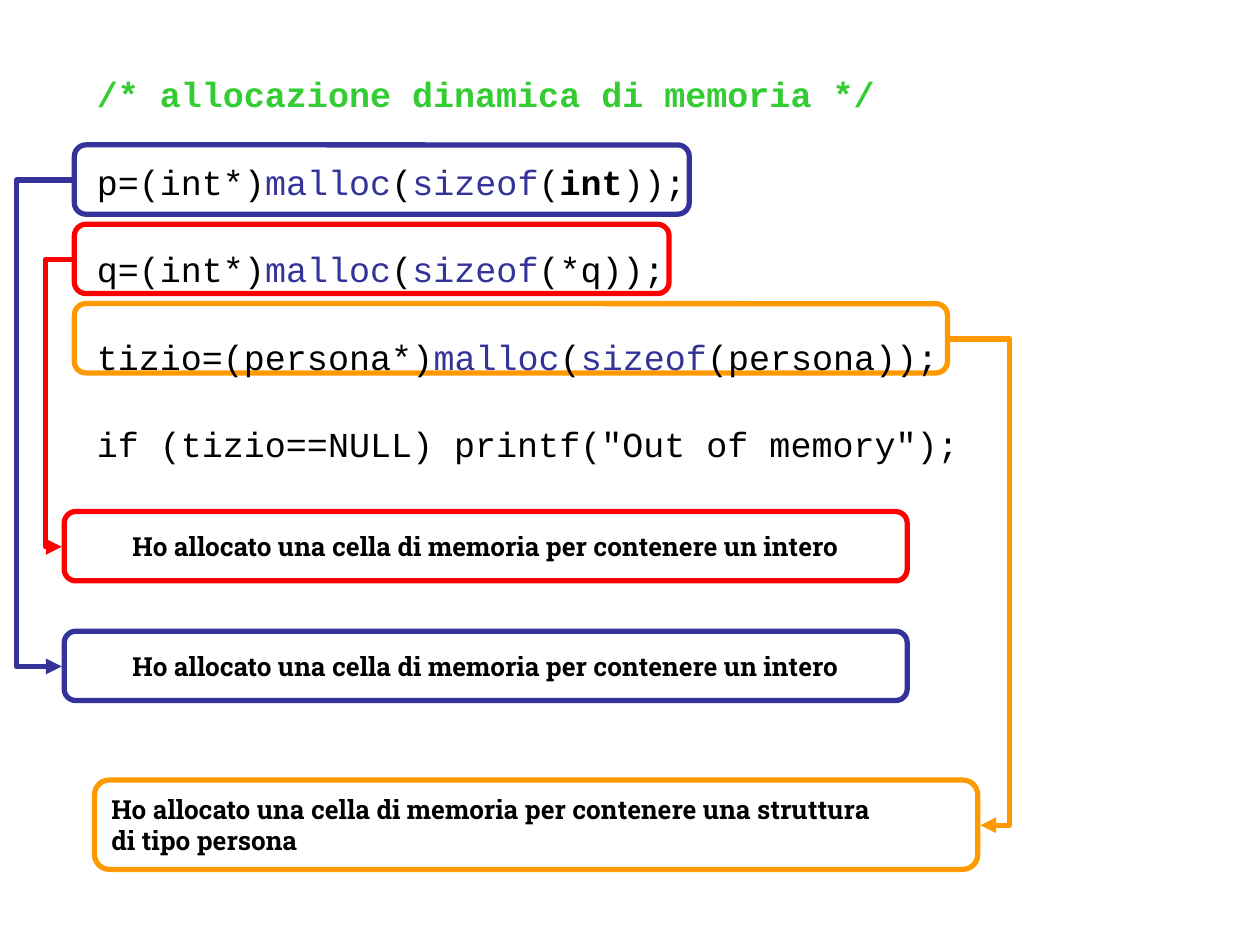
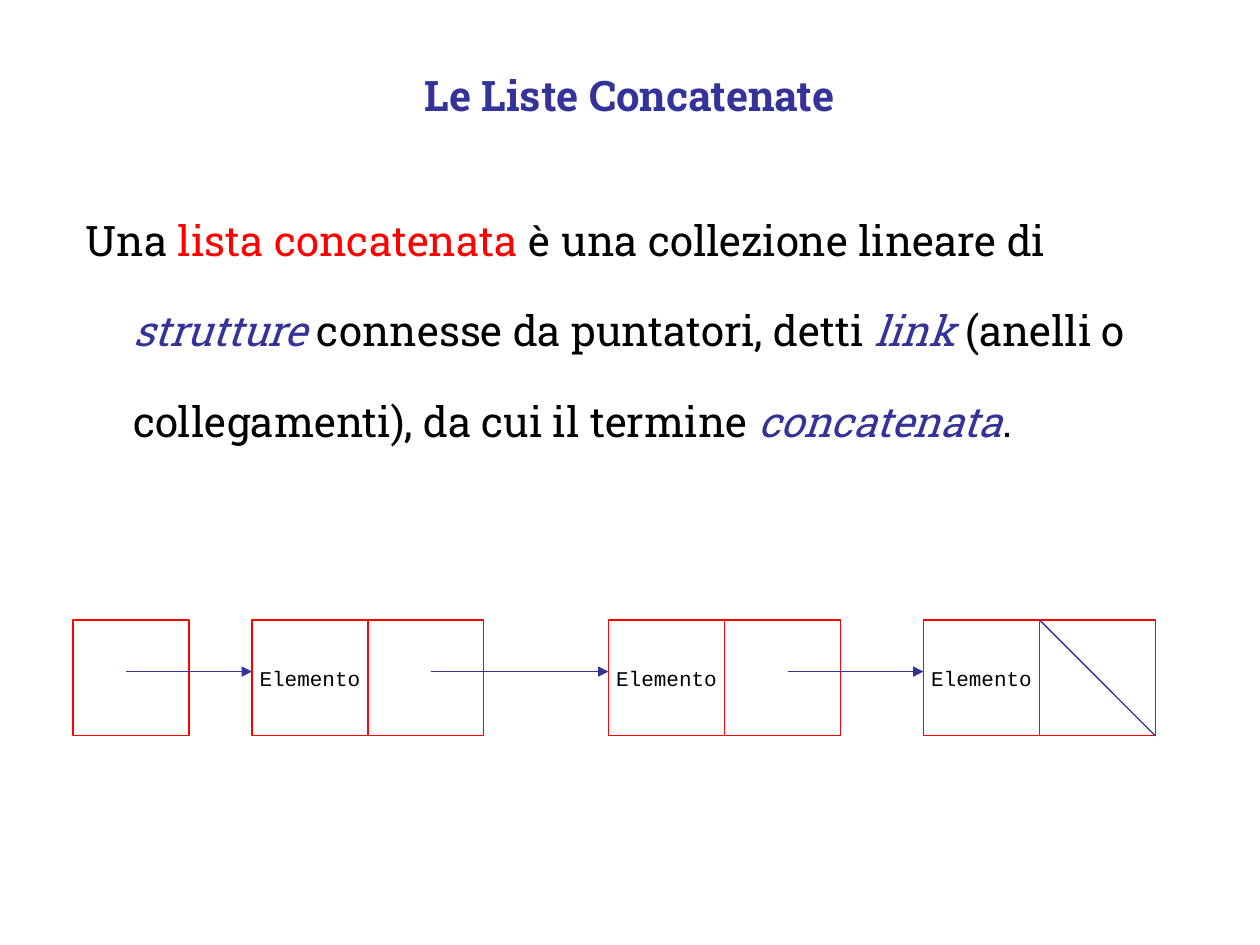
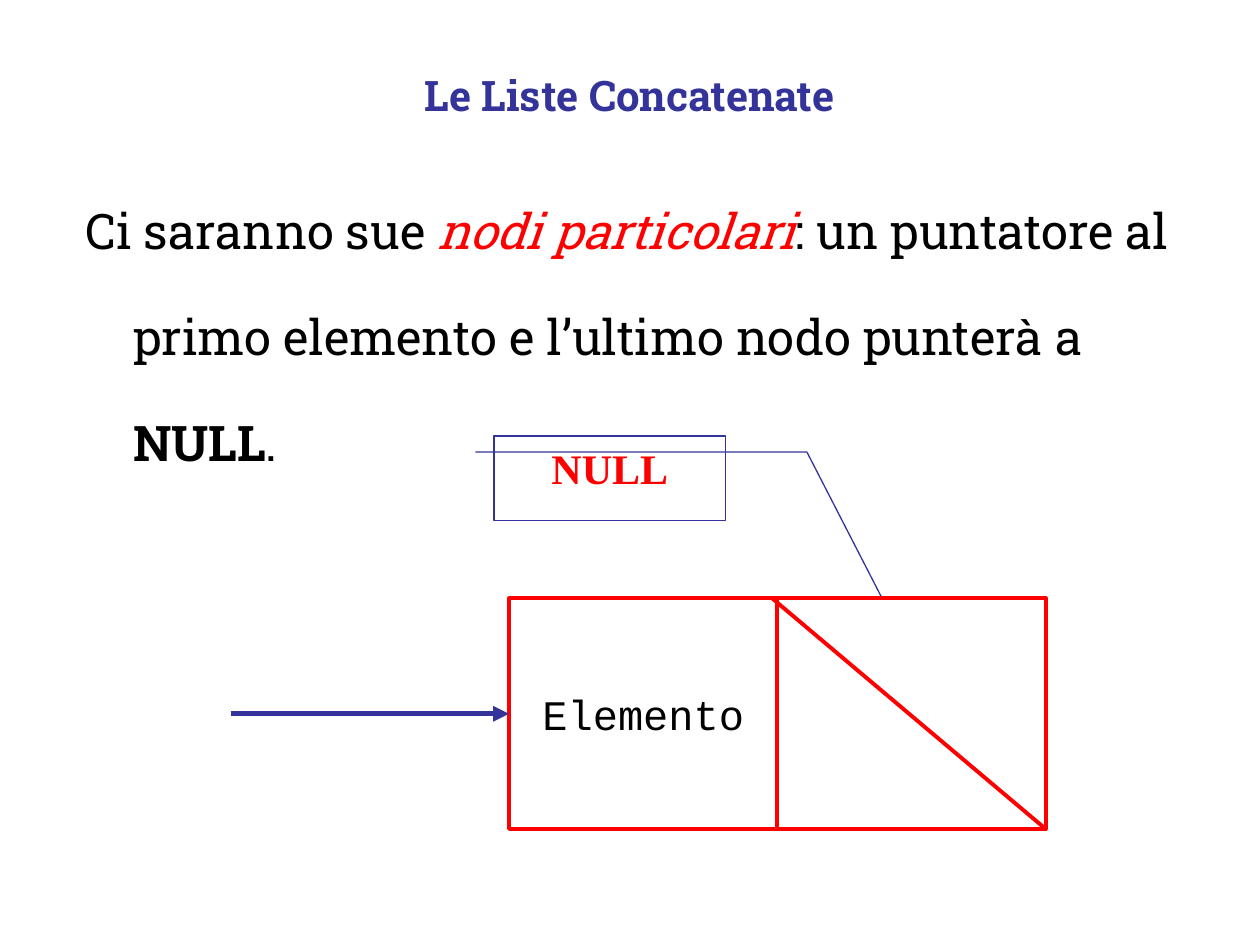
from dataclasses import dataclass
from typing import NamedTuple, Optional, Sequence

from lxml.etree import SubElement
from pptx import Presentation
from pptx.dml.color import RGBColor
from pptx.enum.shapes import MSO_CONNECTOR as Connector, MSO_SHAPE as Shape
from pptx.enum.text import MSO_ANCHOR as Anchor, MSO_AUTO_SIZE as AutoSize, PP_ALIGN as Align
from pptx.oxml.ns import qn
from pptx.util import Inches, Pt


@dataclass(frozen=True)
class Theme:
    black: str = "000000"
    white: str = "FFFFFF"
    blue: str = "333399"
    red: str = "FF0000"
    orange: str = "FF9900"
    green: str = "33CC33"
    body_font: str = "Roboto Slab"
    code_font: str = "Courier New"
    callout_font: str = "Times New Roman"
    title_size: float = 24
    large_size: float = 28
    code_size: float = 20
    note_size: float = 15
    cell_size: float = 12
    thin: float = 0.75
    medium: float = 2.25
    thick: float = 3


THEME = Theme()


class Box(NamedTuple):
    left: float
    top: float
    width: float
    height: float


class Point(NamedTuple):
    x: float
    y: float


class Span(NamedTuple):
    text: str
    color: str = THEME.black
    bold: bool = False
    italic: bool = False


class Style(NamedTuple):
    font: str
    size: float
    align: Align = Align.LEFT
    line_spacing: float = 1.0
    space_before: float = 0
    hanging: float = 0


class Allocation(NamedTuple):
    """A highlighted malloc call, its explanation and the elbow joining them."""
    color: str
    call: Box
    note: Box
    note_lines: Sequence[str]
    note_align: Align
    start: Point
    end: Point
    bend_x: float


TITLE_STYLE = Style(THEME.body_font, THEME.title_size, Align.CENTER)
CODE_STYLE = Style(THEME.code_font, THEME.code_size, line_spacing=1.5, space_before=14)
CALLOUT_STYLE = Style(THEME.callout_font, THEME.title_size, Align.CENTER)
INTEGER_NOTE = ["Ho allocato una cella di memoria per contenere un intero"]
ALLOCATIONS = [
    Allocation(THEME.orange, Box(0.59, 2.41, 6.93, 0.55), Box(0.75, 6.19, 7.01, 0.71),
               ["Ho allocato una cella di memoria per contenere una struttura",
                "di tipo persona"],
               Align.LEFT, Point(7.54, 2.69), Point(7.78, 6.55), 8.01),
    Allocation(THEME.red, Box(0.59, 1.78, 4.72, 0.55), Box(0.51, 4.06, 6.69, 0.55),
               INTEGER_NOTE, Align.CENTER, Point(0.57, 2.06), Point(0.49, 4.34), 0.36),
    Allocation(THEME.blue, Box(0.59, 1.15, 4.88, 0.55), Box(0.51, 5.01, 6.69, 0.55),
               INTEGER_NOTE, Align.CENTER, Point(0.57, 1.43), Point(0.49, 5.29), 0.13),
]


def write(text_frame, lines: Sequence[Sequence[Span]], style: Style) -> None:
    for index, spans in enumerate(lines):
        paragraph = text_frame.add_paragraph() if index else text_frame.paragraphs[0]
        paragraph.alignment = style.align
        paragraph.line_spacing = style.line_spacing
        paragraph.space_before = Pt(style.space_before if index else 0)
        if style.hanging:
            properties = paragraph._p.get_or_add_pPr()
            properties.set("marL", str(Inches(style.hanging)))
            properties.set("indent", str(-Inches(style.hanging)))
        for span in spans:
            run = paragraph.add_run()
            run.text = span.text
            run.font.name = style.font
            run.font.size = Pt(style.size)
            run.font.bold = span.bold
            run.font.italic = span.italic
            run.font.color.rgb = RGBColor.from_string(span.color)


def add_text(slide, box: Box, lines: Sequence[Sequence[Span]], style: Style,
             anchor: Anchor = Anchor.TOP):
    shape = slide.shapes.add_textbox(*map(Inches, box))
    shape.text_frame.word_wrap = True
    shape.text_frame.vertical_anchor = anchor
    write(shape.text_frame, lines, style)
    return shape


def add_outlined(slide, kind: Shape, box: Box, color: str, weight: float,
                 lines: Sequence[Sequence[Span]] = (), style: Optional[Style] = None):
    """Add a white shape with a coloured outline and optional unwrapped text."""
    shape = slide.shapes.add_shape(kind, *map(Inches, box))
    shape.shadow.inherit = False
    shape.fill.solid()
    shape.fill.fore_color.rgb = RGBColor.from_string(THEME.white)
    shape.line.color.rgb = RGBColor.from_string(color)
    shape.line.width = Pt(weight)
    if style:
        shape.text_frame.word_wrap = False
        shape.text_frame.vertical_anchor = Anchor.MIDDLE
        write(shape.text_frame, lines, style)
    return shape


def add_line(slide, start: Point, end: Point, color: str, weight: float,
             arrow: bool = True, bend_x: Optional[float] = None):
    """Add a straight line, or an elbow whose vertical part is at bend_x."""
    kind = Connector.STRAIGHT if bend_x is None else Connector.ELBOW
    line = slide.shapes.add_connector(kind, *map(Inches, (*start, *end)))
    line.line.color.rgb = RGBColor.from_string(color)
    line.line.width = Pt(weight)
    properties = line._element.spPr
    if arrow:
        SubElement(line.line._get_or_add_ln(), qn("a:tailEnd"), type="triangle")
    SubElement(properties, qn("a:effectLst"))
    if bend_x is not None:
        ratio = (bend_x - start.x) / (end.x - start.x)
        guides = properties.find(qn("a:prstGeom")).get_or_add_avLst()
        SubElement(guides, qn("a:gd"), name="adj1", fmla=f"val {round(ratio * 100000)}")
    return line


def add_title(slide) -> None:
    add_text(slide, Box(0.75, 0.42, 8.5, 0.67),
             [[Span("Le Liste Concatenate", THEME.blue, bold=True)]],
             TITLE_STYLE, Anchor.MIDDLE)


def add_body(slide, box: Box, size: float, spans: Sequence[Span]) -> None:
    add_text(slide, box, [spans],
             Style(THEME.body_font, size, line_spacing=1.8, hanging=0.38))


def add_node(slide, left: float, top: float, width: float, height: float,
             weight: float, size: float):
    """Add the element cell and link cell of a list node; return the element cell."""
    add_outlined(slide, Shape.RECTANGLE, Box(left + width, top, width, height),
                 THEME.red, weight)
    return add_outlined(slide, Shape.RECTANGLE, Box(left, top, width, height),
                        THEME.red, weight, [[Span("Elemento")]],
                        Style(THEME.code_font, size, Align.CENTER))


def malloc_line(target: str, argument: Sequence[Span]) -> list[Span]:
    return [Span(target), Span("malloc", THEME.blue), Span("("),
            Span("sizeof", THEME.blue), Span("("), *argument, Span("));")]


def build_allocation_slide(slide) -> None:
    for item in ALLOCATIONS:
        add_outlined(slide, Shape.ROUNDED_RECTANGLE, item.call, item.color, THEME.thick)
    code = add_text(slide, Box(0.67, 0.36, 7.17, 3.3), [
        [Span("/* allocazione dinamica di memoria */", THEME.green, bold=True)],
        malloc_line("p=(int*)", [Span("int", bold=True)]),
        malloc_line("q=(int*)", [Span("*q")]),
        malloc_line("tizio=(persona*)", [Span("persona")]),
        [Span('if (tizio==NULL) printf("Out of memory");')],
    ], CODE_STYLE)
    code.text_frame.auto_size = AutoSize.SHAPE_TO_FIT_TEXT
    for item in ALLOCATIONS:
        add_outlined(slide, Shape.ROUNDED_RECTANGLE, item.note, item.color, THEME.thick,
                     [[Span(line, bold=True)] for line in item.note_lines],
                     Style(THEME.body_font, THEME.note_size, item.note_align))
        add_line(slide, item.start, item.end, item.color, THEME.thick, bend_x=item.bend_x)


def build_list_slide(slide) -> None:
    add_title(slide)
    add_body(slide, Box(0.58, 1.33, 9.17, 2.67), THEME.title_size, [
        Span("Una "), Span("lista concatenata", THEME.red),
        Span(" è una collezione lineare di "),
        Span("strutture", THEME.blue, italic=True),
        Span(" connesse da puntatori, detti "),
        Span("link", THEME.blue, italic=True),
        Span(" (anelli o collegamenti), da cui il termine "),
        Span("concatenata", THEME.blue, italic=True), Span("."),
    ])
    cell, top, arrow_y = 0.92, 4.92, 5.33
    head_left, node_lefts = 0.58, [2, 4.83, 7.33]
    add_outlined(slide, Shape.RECTANGLE, Box(head_left, top, cell, cell),
                 THEME.red, THEME.thin)
    for left in node_lefts:
        add_node(slide, left, top, cell, cell, THEME.thin, THEME.cell_size)
    link_lefts = [head_left] + [left + cell for left in node_lefts]
    for link_left, node_left in zip(link_lefts, node_lefts):
        add_line(slide, Point(link_left + 0.42 if link_left == head_left else link_left + 0.5,
                              arrow_y),
                 Point(node_left, arrow_y), THEME.blue, THEME.thin)
    last_link = link_lefts[-1]
    add_line(slide, Point(last_link, top), Point(last_link + cell, top + cell),
             THEME.blue, THEME.thin, arrow=False)


def build_null_slide(slide) -> None:
    add_title(slide)
    add_body(slide, Box(0.58, 1.17, 9.17, 2.83), THEME.large_size, [
        Span("Ci saranno sue "), Span("nodi particolari", THEME.red, italic=True),
        Span(": un puntatore al primo elemento e l’ultimo nodo punterà a "),
        Span("NULL", bold=True), Span("."),
    ])
    left, top, width, height = 4.04, 4.75, 2.13, 1.83
    element = add_node(slide, left, top, width, height, THEME.medium, THEME.title_size)
    middle = top + height / 2
    arrow = add_line(slide, Point(1.83, middle), Point(left, middle), THEME.blue, THEME.thick)
    arrow.end_connect(element, 1)
    add_line(slide, Point(6.13, top), Point(left + 2 * width, top + height),
             THEME.red, THEME.medium, arrow=False)
    callout = add_outlined(slide, Shape.LINE_CALLOUT_2, Box(3.92, 3.46, 1.84, 0.67),
                           THEME.blue, THEME.thin,
                           [[Span("NULL", THEME.red, bold=True)]], CALLOUT_STYLE)
    callout.text_frame.word_wrap = True
    callout.text_frame.vertical_anchor = Anchor.TOP
    for index, value in enumerate([0.19, -0.08, 0.19, 1.35, 1.9, 1.67]):
        callout.adjustments[index] = value


def main() -> None:
    presentation = Presentation()
    presentation.slide_width, presentation.slide_height = Inches(10), Inches(7.5)
    blank = presentation.slide_layouts[6]
    for build in (build_allocation_slide, build_list_slide, build_null_slide):
        build(presentation.slides.add_slide(blank))
    presentation.save("out.pptx")


if __name__ == "__main__":
    main()
